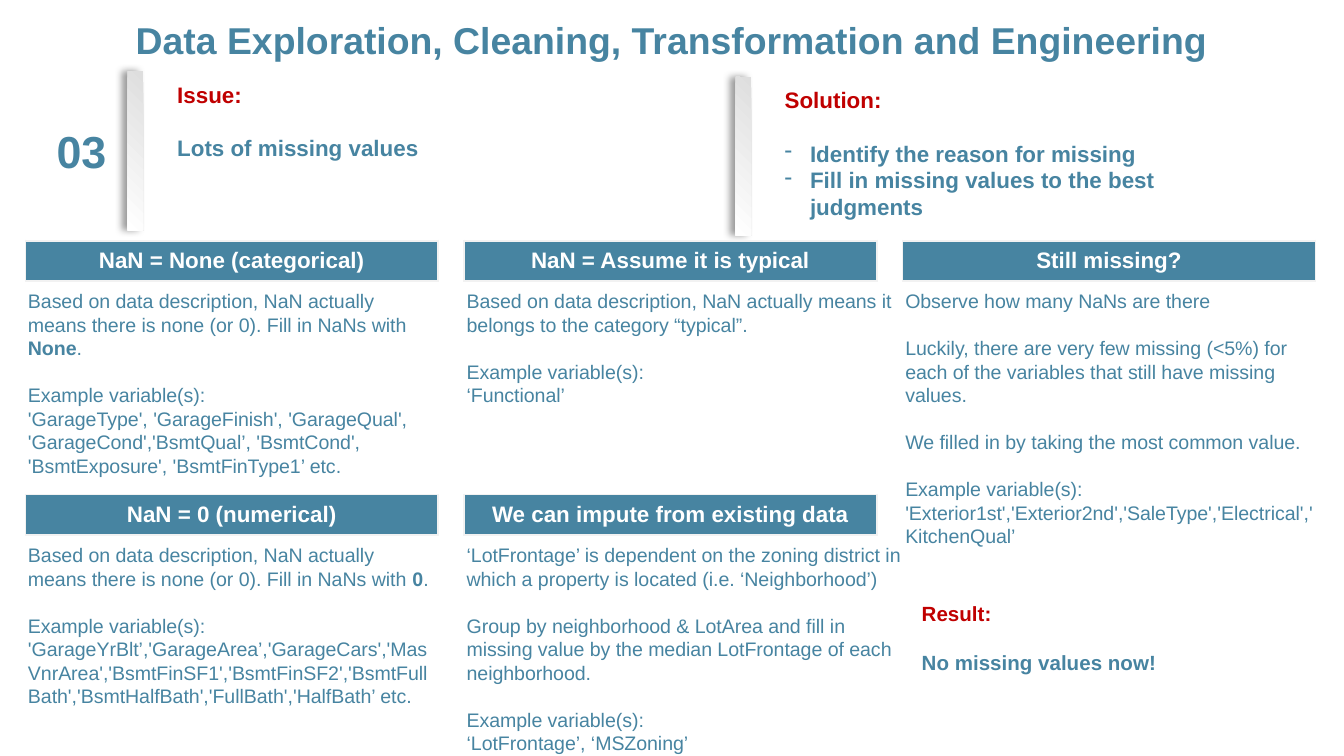
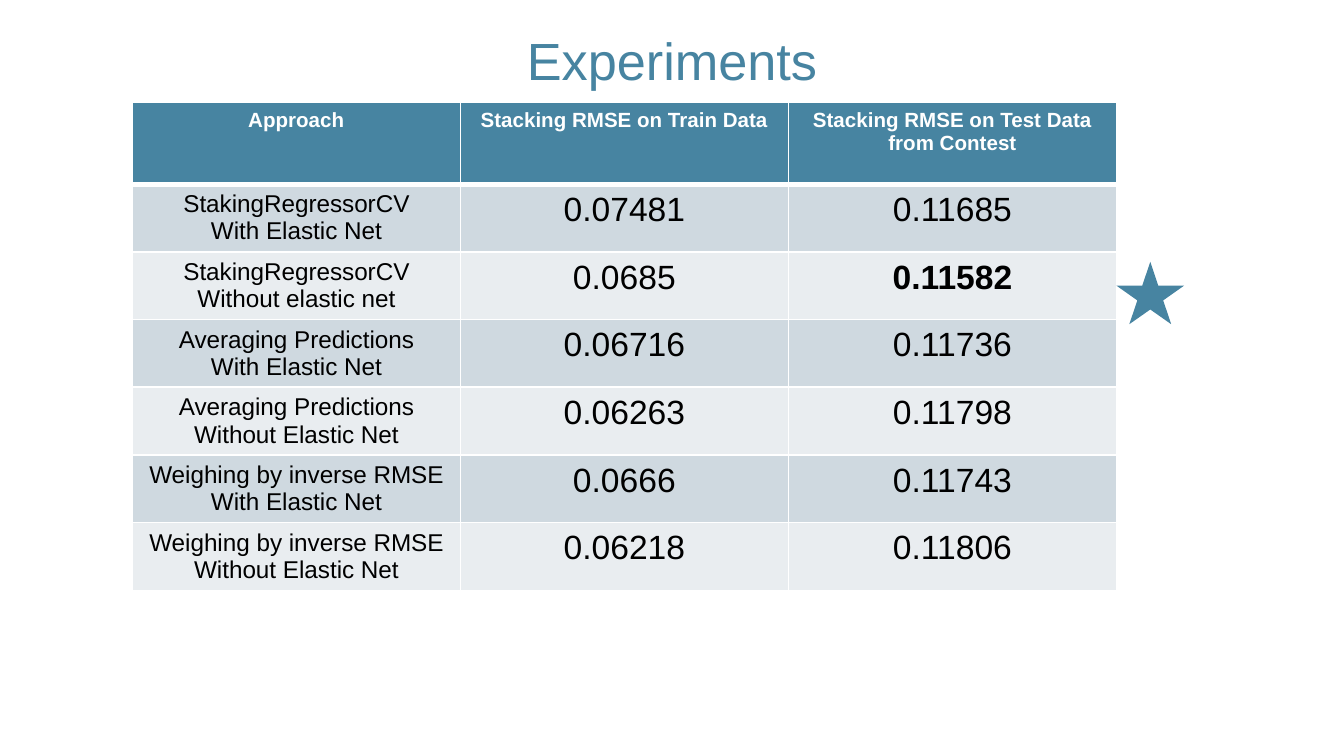
from lxml.etree import SubElement
from pptx import Presentation
from pptx.dml.color import RGBColor
from pptx.enum.shapes import MSO_SHAPE
from pptx.enum.text import MSO_ANCHOR, PP_ALIGN
from pptx.oxml import parse_xml
from pptx.oxml.ns import nsdecls, qn
from pptx.util import Cm, Pt

FONT = "Arial"
BLUE, RED, WHITE, BLACK = "4784A1", "C00000", "FFFFFF", "000000"
BAND_DARK, BAND_LIGHT, HEADER_EDGE = "CFD9E0", "E9EDF0", "F2F2F2"
LINE_HEIGHT = 1.2
BULLET = "- "

COLUMN_LEFT, COLUMN_STEP, COLUMN_WIDTH = 0.48, 8.29, 7.8
ROW_TOP, ROW_STEP, HEADER_HEIGHT = 4.55, 4.8, 0.76

# Column, row, heading, text width, text height, blocks of lines; ** marks bold.
CARDS = [
    (0, 0, "NaN = None (categorical)", 8, 3.84, [
        ["Based on data description, NaN actually means there is none (or 0). "
         "Fill in NaNs with **None**."],
        ["Example variable(s):",
         "'GarageType', 'GarageFinish', 'GarageQual', 'GarageCond','BsmtQual’, "
         "'BsmtCond', 'BsmtExposure', 'BsmtFinType1’ etc."]]),
    (1, 0, "NaN = Assume it is typical", 8.61, 2.49, [
        ["Based on data description, NaN actually means it belongs to the "
         "category “typical”."],
        ["Example variable(s):", "‘Functional’"]]),
    (0, 1, "NaN = 0 (numerical)", 8.2, 3.4, [
        ["Based on data description, NaN actually means there is none (or 0). "
         "Fill in NaNs with **0**."],
        ["Example variable(s):",
         "'GarageYrBlt’,'GarageArea’,'GarageCars','MasVnrArea','BsmtFinSF1',"
         "'BsmtFinSF2','BsmtFullBath','BsmtHalfBath','FullBath','HalfBath’ etc."]]),
    (1, 1, "We can impute from existing data", 8.79, 4.29, [
        ["‘LotFrontage’ is dependent on the zoning district in which a property "
         "is located (i.e. ‘Neighborhood’)"],
        ["Group by neighborhood & LotArea and fill in missing value by the "
         "median LotFrontage of each neighborhood."],
        ["Example variable(s):", "‘LotFrontage’, ‘MSZoning’"]]),
    (2, 0, "Still missing?", 8.43, 5.18, [
        ["Observe how many NaNs are there"],
        ["Luckily, there are very few missing (<5%) for each of the variables "
         "that still have missing values."],
        ["We filled in by taking the most common value."],
        ["Example variable(s):",
         "'Exterior1st','Exterior2nd','SaleType','Electrical','KitchenQual’"]]),
]

RESULT_HEADINGS = ["Approach", "Stacking RMSE on Train Data",
                   "Stacking RMSE on Test Data\nfrom Contest"]
RESULTS = [
    ("StakingRegressorCV\nWith Elastic Net", "0.07481", "0.11685"),
    ("StakingRegressorCV\nWithout elastic net", "0.0685", "0.11582"),
    ("Averaging Predictions\nWith Elastic Net", "0.06716", "0.11736"),
    ("Averaging Predictions\nWithout Elastic Net", "0.06263", "0.11798"),
    ("Weighing by inverse RMSE\nWith Elastic Net", "0.0666", "0.11743"),
    ("Weighing by inverse RMSE\nWithout Elastic Net", "0.06218", "0.11806"),
]
BEST_SCORE = "0.11582"


def color(value):
    return RGBColor.from_string(value)


def format_font(font, size, tint, bold=False):
    font.name = FONT
    font.size = Pt(size)
    font.bold = bold
    font.color.rgb = color(tint)


def format_frame(frame, size, tint, bold=False, align=PP_ALIGN.CENTER):
    for para in frame.paragraphs:
        para.alignment = align
        for span in para.runs:
            format_font(span.font, size, tint, bold)


def add_title(page, text, top, size, bold=False):
    title = page.shapes.title
    title.left, title.top, title.width, title.height = Cm(0), Cm(top), Cm(25.4), Cm(1.6)
    title.text_frame.text = text
    title.text_frame.vertical_anchor = MSO_ANCHOR.MIDDLE
    format_frame(title.text_frame, size, BLUE, bold)


def add_box(page, left, top, width, height):
    box = page.shapes.add_textbox(Cm(left), Cm(top), Cm(width), Cm(height))
    box.text_frame.word_wrap = True
    return box.text_frame


def add_dash(para):
    properties = para._p.get_or_add_pPr()
    properties.set("marL", str(Cm(0.48)))
    properties.set("indent", str(-Cm(0.48)))
    SubElement(properties, qn("a:buChar"), char="-")


def fill_blocks(frame, blocks, size, tints, bold=False):
    """Write blocks of lines one empty line apart, each block in its own tint."""
    para = None
    for block, tint in zip(blocks, tints):
        for index, line in enumerate(block):
            opens_block = para is not None and index == 0
            para = frame.paragraphs[0] if para is None else frame.add_paragraph()
            if opens_block:
                para.space_before = Pt(size * LINE_HEIGHT)
            if line.startswith(BULLET):
                add_dash(para)
                line = line.removeprefix(BULLET)
            for position, piece in enumerate(line.split("**")):
                span = para.add_run()
                span.text = piece
                format_font(span.font, size, tint, bold or position % 2 == 1)


def add_note(page, left, top, width, height, label, lines, size=12):
    frame = add_box(page, left, top, width, height)
    fill_blocks(frame, [[label], lines], size, [RED, BLUE], bold=True)


def add_bar(page, left, top):
    bar = page.shapes.add_shape(MSO_SHAPE.RECTANGLE, Cm(left), Cm(top), Cm(0.3), Cm(3))
    bar.line.fill.background()
    bar.fill.gradient()
    bar.fill.gradient_angle = 225
    for stop, tint in zip(bar.fill.gradient_stops, ("DEDEDE", WHITE)):
        stop.color.rgb = color(tint)
    bar._element.spPr.append(parse_xml(
        f'<a:effectLst {nsdecls("a")}><a:outerShdw blurRad="{Pt(4)}" dist="{Pt(3)}" '
        'dir="10800000" rotWithShape="0"><a:srgbClr val="000000">'
        '<a:alpha val="40000"/></a:srgbClr></a:outerShdw></a:effectLst>'))


def add_table(page, rows, columns, left, top, width, height):
    table = page.shapes.add_table(
        rows, columns, Cm(left), Cm(top), Cm(width), Cm(height)).table
    table.horz_banding = False
    return table


def format_cell(cell, text, size, tint, fill, edge, bold=False, bottom=1):
    properties = cell._tc.get_or_add_tcPr()
    for side, points in (("L", 1), ("R", 1), ("T", 1), ("B", bottom)):
        line = SubElement(properties, qn(f"a:ln{side}"), w=str(Pt(points)))
        solid = SubElement(line, qn("a:solidFill"))
        SubElement(solid, qn("a:srgbClr"), val=edge)
    cell.fill.solid()
    cell.fill.fore_color.rgb = color(fill)
    cell.text_frame.text = text
    format_frame(cell.text_frame, size, tint, bold)


def add_card(page, column, row, heading, width, height, blocks):
    left = COLUMN_LEFT + column * COLUMN_STEP
    top = ROW_TOP + row * ROW_STEP
    header = add_table(page, 1, 1, left, top, COLUMN_WIDTH, HEADER_HEIGHT).cell(0, 0)
    format_cell(header, heading, 12, WHITE, BLUE, HEADER_EDGE, bold=True)
    header.vertical_anchor = MSO_ANCHOR.MIDDLE
    frame = add_box(page, left - 0.2, top + 0.79, width, height)
    fill_blocks(frame, blocks, 10.5, [BLUE] * len(blocks))


def add_results(page):
    table = add_table(page, len(RESULTS) + 1, 3, 2.5, 1.93, 18.6, 9.23)
    for index, row in enumerate(table.rows):
        row.height = Cm(1.28 if index else 1.55)
    for column, heading in enumerate(RESULT_HEADINGS):
        format_cell(table.cell(0, column), heading, 11, WHITE, BLUE, WHITE,
                    bold=True, bottom=3)
    for row, values in enumerate(RESULTS, start=1):
        band = BAND_DARK if row % 2 else BAND_LIGHT
        for column, value in enumerate(values):
            format_cell(table.cell(row, column), value, 18 if column else 13, BLACK,
                        band, WHITE, bold=value == BEST_SCORE)


def add_star(page):
    star = page.shapes.add_shape(
        MSO_SHAPE.STAR_5_POINT, Cm(21.1), Cm(4.95), Cm(1.28), Cm(1.18))
    star.shadow.inherit = False
    star.fill.solid()
    star.fill.fore_color.rgb = color(BLUE)
    star.line.fill.background()


def build_missing_values(page):
    add_title(page, "Data Exploration, Cleaning, Transformation and Engineering",
              -0.05, 20, bold=True)
    number = add_box(page, 0.69, 2.2, 1.7, 1.28)
    number.text = "03"
    number.vertical_anchor = MSO_ANCHOR.MIDDLE
    format_frame(number, 24, BLUE, bold=True)
    add_bar(page, 2.41, 1.35)
    add_note(page, 3.1, 1.4, 9.6, 1.8, "Issue:", ["Lots of missing values"])
    add_bar(page, 13.9, 1.45)
    add_note(page, 14.58, 1.5, 7.52, 3.33, "Solution:",
             [BULLET + "Identify the reason for missing",
              BULLET + "Fill in missing values to the best judgments"])
    for card in CARDS:
        add_card(page, *card)
    add_note(page, 17.17, 11.23, 8.79, 1.68, "Result:", ["No missing values now!"], 11)


def build_experiments(page):
    add_title(page, "Experiments", 0.33, 28)
    add_results(page)
    add_star(page)


def main():
    deck = Presentation()
    deck.slide_width, deck.slide_height = Cm(25.4), Cm(14.29)
    title_only = deck.slide_layouts[5]
    for build in (build_missing_values, build_experiments):
        build(deck.slides.add_slide(title_only))
    deck.save("out.pptx")


if __name__ == "__main__":
    main()
